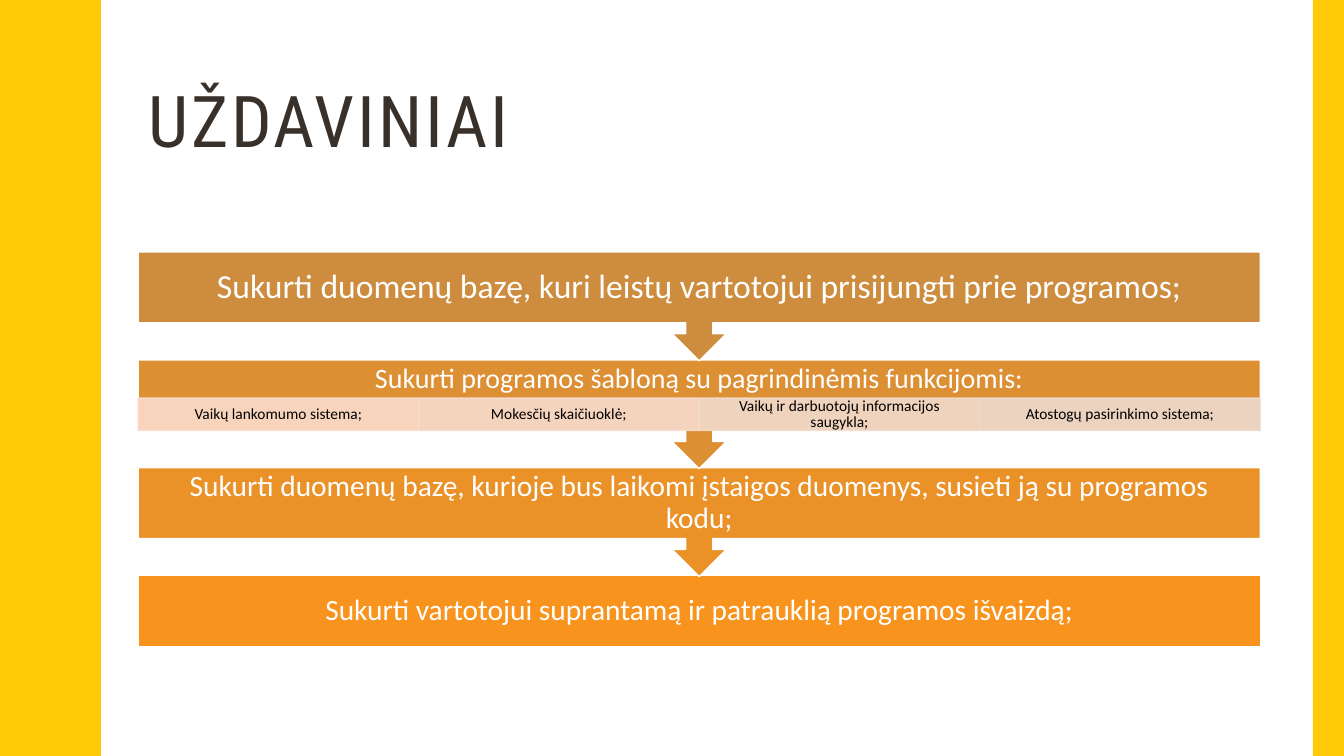
from dataclasses import dataclass

from lxml.etree import SubElement
from pptx import Presentation
from pptx.dml.color import RGBColor
from pptx.enum.shapes import MSO_SHAPE as Preset
from pptx.enum.text import MSO_ANCHOR as Anchor, MSO_AUTO_SIZE as AutoSize, PP_ALIGN as Align
from pptx.oxml.ns import qn
from pptx.util import Inches, Pt

TITLE = "UŽDAVINIAI"
# text, fill, type size
STEPS = [
    ("Sukurti duomenų bazę, kuri leistų vartotojui prisijungti prie programos;", "CE8D3E", 24),
    ("Sukurti programos šabloną su pagrindinėmis funkcijomis:", "DC8F33", 20),
    ("Sukurti duomenų bazę, kurioje bus laikomi įstaigos duomenys, "
     "susieti ją su programos kodu;", "EA9128", 21),
    ("Sukurti vartotojui suprantamą ir patrauklią programos išvaizdą;", "F8931D", 21),
]
FEATURE_STEP = 1
FEATURES = [
    ("Vaikų lankomumo sistema;", "FCDCCD"),
    ("Mokesčių skaičiuoklė;", "F8DCCD"),
    ("Vaikų ir darbuotojų informacijos saugykla;", "F3DBCD"),
    ("Atostogų pasirinkimo sistema;", "EDDBCF"),
]


@dataclass(frozen=True)
class Theme:
    title_font: str = "Roboto Condensed"
    body_font: str = "Calibri"
    title_size: int = 51
    feature_size: int = 11
    title: str = "39302A"
    accent: str = "FFCA08"
    light: str = "FFFFFF"
    dark: str = "000000"


THEME = Theme()
WIDTH, HEIGHT = 13.33, 7.5
LEFT, CONTENT_WIDTH = 1.37, 11.13
STEP_TOP, STEP_PITCH = 2.5, 1.07
CALLOUT_HEIGHT, LAST_HEIGHT = 1.08, 0.71
FEATURE_OFFSET, FEATURE_HEIGHT = 0.38, 0.32
STRIPE_WIDTH = 0.31
WAVE_LEFT, WAVE_PERIOD, WAVES = 0.78, 1.5, 5
# (bulge, drop) from a trough of the wave to its crest
WAVE_RISE = [(0, 0), (0, 0.07), (0.01, 0.14), (0.02, 0.2), (0.03, 0.25), (0.05, 0.29),
             (0.07, 0.33), (0.09, 0.38), (0.11, 0.42), (0.13, 0.46), (0.15, 0.5),
             (0.17, 0.55), (0.18, 0.61), (0.19, 0.68), (0.19, 0.75)]


def color(code):
    return RGBColor.from_string(code)


def paint(shape, fill, line=None):
    shape.shadow.inherit = False
    shape.fill.solid()
    shape.fill.fore_color.rgb = color(fill)
    if line:
        shape.line.color.rgb = color(line)
        shape.line.width = Pt(1)
    else:
        shape.line.fill.background()


def make_translucent(shape, percent):
    """Apply the same opacity to the solid fill and the outline."""
    for code in shape._element.spPr.iter(qn("a:srgbClr")):
        SubElement(code, qn("a:alpha"), val=str(percent * 1000))


def write(shape, text, font, size, ink, align=Align.CENTER):
    frame = shape.text_frame
    frame.text = text
    frame.word_wrap = True
    frame.auto_size = AutoSize.NONE
    frame.vertical_anchor = Anchor.MIDDLE
    para = frame.paragraphs[0]
    para.alignment = align
    para.line_spacing = 0.9
    span = para.runs[0].font
    span.name, span.size, span.color.rgb = font, Pt(size), color(ink)


def set_insets(shape, side, bottom):
    frame = shape.text_frame
    frame.margin_left = frame.margin_right = Inches(side)
    frame.margin_top, frame.margin_bottom = 0, Inches(bottom)


def add_block(page, preset, left, top, width, height):
    return page.shapes.add_shape(preset, *map(Inches, (left, top, width, height)))


def add_wavy_edge(page):
    wave = WAVE_RISE + [(bulge, WAVE_PERIOD - drop) for bulge, drop in WAVE_RISE[-2::-1]]
    edge = [(WAVE_LEFT + bulge, turn * WAVE_PERIOD + drop)
            for turn in range(WAVES) for bulge, drop in wave]
    builder = page.shapes.build_freeform(0, 0, scale=Inches(1))
    builder.add_line_segments(edge + [(0, HEIGHT)], close=True)
    paint(builder.convert_to_shape(), THEME.accent)


def add_features(page, top):
    width = CONTENT_WIDTH / len(FEATURES)
    for column, (text, fill) in enumerate(FEATURES):
        box = add_block(page, Preset.RECTANGLE, LEFT + column * width, top, width, FEATURE_HEIGHT)
        paint(box, fill, fill)
        make_translucent(box, 90)
        write(box, text, THEME.body_font, THEME.feature_size, THEME.dark)
        set_insets(box, 0.09, 0)


def add_steps(page):
    """Draw from the bottom up, so that each arrow lies over the next step."""
    for row, (text, fill, size) in reversed(list(enumerate(STEPS))):
        top = STEP_TOP + row * STEP_PITCH
        last = row == len(STEPS) - 1
        preset = Preset.RECTANGLE if last else Preset.DOWN_ARROW_CALLOUT
        box = add_block(page, preset, LEFT, top, CONTENT_WIDTH,
                        LAST_HEIGHT if last else CALLOUT_HEIGHT)
        paint(box, fill, THEME.light)
        write(box, text, THEME.body_font, size, THEME.light)
        set_insets(box, 0.16, FEATURE_HEIGHT if row == FEATURE_STEP else 0)
        if row == FEATURE_STEP:
            add_features(page, top + FEATURE_OFFSET)


def main():
    deck = Presentation()
    deck.slide_width, deck.slide_height = Inches(WIDTH), Inches(HEIGHT)
    page = deck.slides.add_slide(deck.slide_layouts[5])

    title = page.shapes.title
    title.left, title.top = Inches(LEFT), Inches(0.42)
    title.width, title.height = Inches(CONTENT_WIDTH), Inches(1.63)
    write(title, TITLE, THEME.title_font, THEME.title_size, THEME.title, Align.LEFT)
    title.text_frame.paragraphs[0].runs[0].font._element.set("spc", "200")

    add_wavy_edge(page)
    stripe = add_block(page, Preset.RECTANGLE, WIDTH - STRIPE_WIDTH, 0, STRIPE_WIDTH, HEIGHT)
    paint(stripe, THEME.accent)
    add_steps(page)
    deck.save("out.pptx")


if __name__ == "__main__":
    main()
